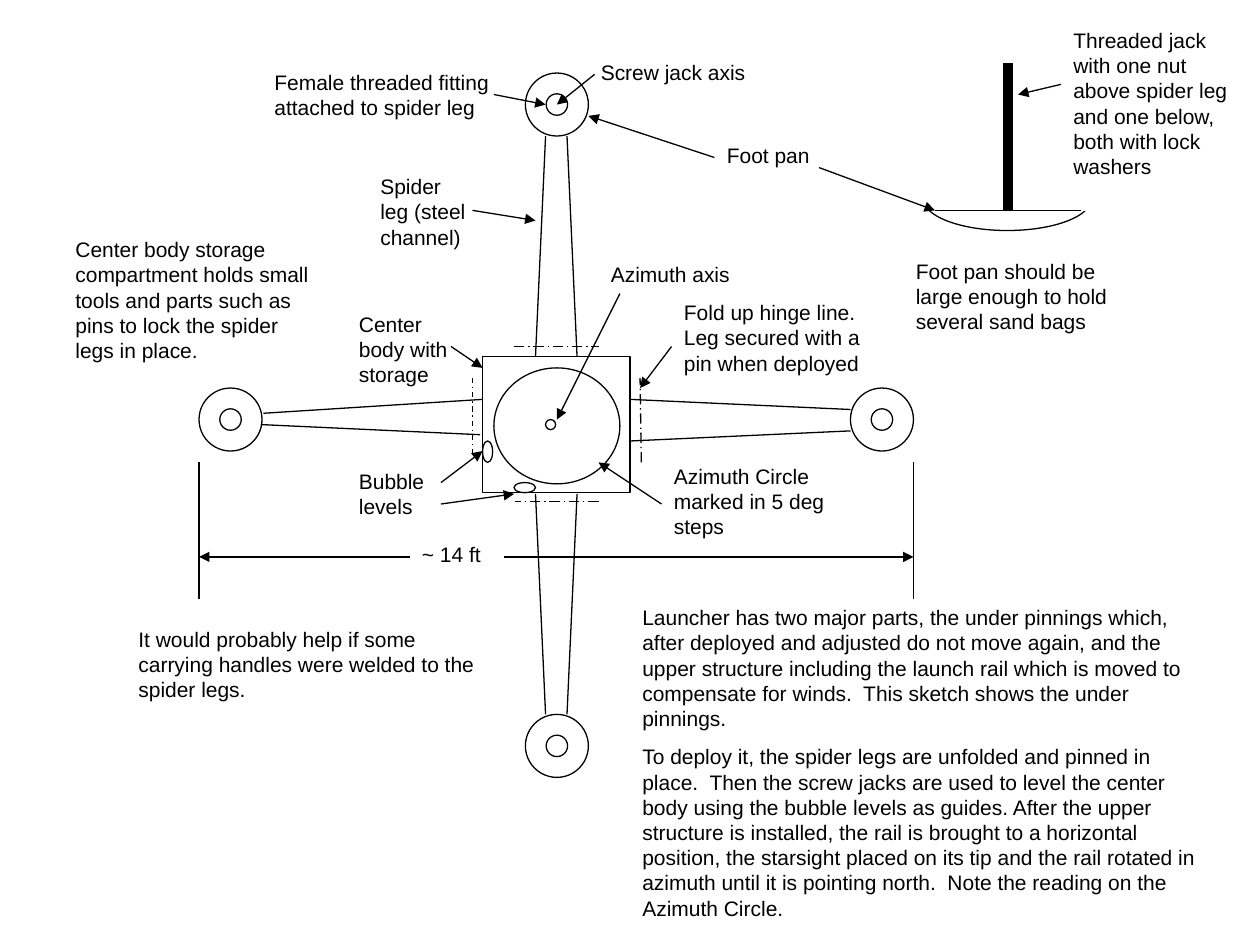
from dataclasses import dataclass
from typing import Optional

from lxml.etree import SubElement
from pptx import Presentation
from pptx.dml.color import RGBColor
from pptx.enum.dml import MSO_LINE
from pptx.enum.shapes import MSO_CONNECTOR, MSO_SHAPE
from pptx.enum.text import MSO_AUTO_SIZE
from pptx.oxml.ns import qn
from pptx.util import Inches, Pt

BLACK = "000000"
WHITE = "FFFFFF"
THIN = 0.75
FOOT_DIAMETER = 0.5
FITTING_DIAMETER = 0.17


@dataclass
class Part:
    left: float
    top: float
    width: float
    height: float
    preset: MSO_SHAPE = MSO_SHAPE.OVAL
    outline: str = BLACK


@dataclass
class Stroke:
    x1: float
    y1: float
    x2: float
    y2: float
    weight: float = THIN
    dash: Optional[MSO_LINE] = None
    arrow: bool = False


@dataclass
class Label:
    left: float
    top: float
    width: float
    height: float
    text: str


def color(hex_value: str) -> RGBColor:
    return RGBColor.from_string(hex_value)


def centered_circle(x: float, y: float, diameter: float) -> Part:
    return Part(x - diameter / 2, y - diameter / 2, diameter, diameter)


def pointer(x1: float, y1: float, x2: float, y2: float) -> Stroke:
    return Stroke(x1, y1, x2, y2, arrow=True)


def hinge(x1: float, y1: float, x2: float, y2: float,
          dash: MSO_LINE = MSO_LINE.LONG_DASH_DOT) -> Stroke:
    return Stroke(x1, y1, x2, y2, dash=dash)


def draw_part(slide, part: Part) -> None:
    shape = slide.shapes.add_shape(
        part.preset, Inches(part.left), Inches(part.top),
        Inches(part.width), Inches(part.height))
    shape.shadow.inherit = False
    shape.fill.solid()
    shape.fill.fore_color.rgb = color(WHITE)
    shape.line.color.rgb = color(part.outline)
    shape.line.width = Pt(THIN)


def draw_stroke(slide, stroke: Stroke) -> None:
    connector = slide.shapes.add_connector(
        MSO_CONNECTOR.STRAIGHT, Inches(stroke.x1), Inches(stroke.y1),
        Inches(stroke.x2), Inches(stroke.y2))
    connector.line.color.rgb = color(BLACK)
    connector.line.width = Pt(stroke.weight)
    if stroke.dash is not None:
        connector.line.dash_style = stroke.dash
    properties = connector._element.spPr
    if stroke.arrow:
        SubElement(properties.find(qn("a:ln")), qn("a:tailEnd"), type="triangle")
    SubElement(properties, qn("a:effectLst"))


def draw_label(slide, label: Label) -> None:
    frame = slide.shapes.add_textbox(
        Inches(label.left), Inches(label.top),
        Inches(label.width), Inches(label.height)).text_frame
    frame.word_wrap = True
    frame.auto_size = MSO_AUTO_SIZE.SHAPE_TO_FIT_TEXT
    frame.text = label.text
    for index, paragraph in enumerate(frame.paragraphs):
        if index:
            paragraph.space_before = Pt(7.5)
        for run in paragraph.runs:
            run.font.name = "Arial"
            run.font.size = Pt(12)
            run.font.color.rgb = color(BLACK)


FOOT_CENTERS = [(4.42, 0.83), (4.42, 5.92), (1.83, 3.33), (7, 3.33)]

CENTER_BODY = [
    Part(3.83, 2.83, 1.17, 1.08, MSO_SHAPE.RECTANGLE),
    Part(3.92, 2.92, 1, 0.92),
    Part(4.33, 3.33, 0.08, 0.08),
    Part(4.08, 3.83, 0.17, 0.08),
    Part(3.83, 3.5, 0.08, 0.17),
]

FOOT_PAN = [
    Part(7.33, 1.33, 1.33, 0.5),
    Part(7.25, 1.25, 1.5, 0.42, MSO_SHAPE.RECTANGLE, WHITE),
]

STROKES = [
    Stroke(4.33, 1.08, 4.25, 2.83),
    Stroke(4.5, 1.08, 4.58, 2.83),
    Stroke(4.25, 3.92, 4.33, 5.67),
    Stroke(4.58, 3.92, 4.5, 5.67),
    Stroke(2.09, 3.28, 3.83, 3.17),
    Stroke(2.07, 3.37, 3.81, 3.45),
    Stroke(6.75, 3.42, 5, 3.5),
    Stroke(6.75, 3.25, 5, 3.17),
    hinge(4.08, 2.75, 4.75, 2.75),
    hinge(4.75, 3.98, 4.09, 3.98),
    hinge(5.09, 3.67, 5.08, 3),
    hinge(3.75, 3, 3.75, 3.67, MSO_LINE.DASH_DOT),
    Stroke(1.58, 3.67, 1.58, 4.75),
    Stroke(7.25, 3.67, 7.25, 4.75),
    pointer(4, 4.42, 7.25, 4.42),
    pointer(3.25, 4.42, 1.58, 4.42),
    pointer(4.83, 4.42, 4.83, 4.42),
    Stroke(7.42, 1.67, 8.58, 1.67),
    Stroke(8, 0.5, 8, 1.67, weight=6),
    pointer(5.33, 2.75, 5.08, 3.08),
    pointer(4.72, 0.59, 4.42, 0.83),
    pointer(4.92, 2.33, 4.42, 3.33),
    pointer(3.75, 1.67, 4.25, 1.75),
    pointer(3.5, 3.83, 3.83, 3.58),
    pointer(3.5, 4, 4.08, 3.92),
    pointer(3.58, 2.75, 3.83, 2.92),
    pointer(5.67, 1.25, 4.67, 0.92),
    pointer(6.5, 1.33, 7.42, 1.67),
    pointer(8.42, 0.67, 8.08, 0.75),
    pointer(3.92, 0.75, 4.33, 0.83),
    pointer(5.25, 4, 4.75, 3.67),
]

LABELS = [
    Label(5.33, 2.33, 1.83, 0.7, "Fold up hinge line.  Leg secured with a pin when deployed"),
    Label(4.67, 0.42, 1.83, 0.3, "Screw jack axis"),
    Label(5.67, 1.08, 0.92, 0.3, "Foot pan"),
    Label(4.75, 2.03, 1.17, 0.3, "Azimuth axis"),
    Label(2.92, 1.33, 0.92, 0.7, "Spider leg (steel channel)"),
    Label(2.75, 3.67, 0.75, 0.5, "Bubble levels"),
    Label(3.25, 4.25, 0.83, 0.3, "~ 14 ft"),
    Label(2.75, 2.42, 0.92, 0.7, "Center body with storage"),
    Label(8.42, 0.17, 1.58, 1.3, "Threaded jack with one nut above spider leg and one below, "
          "both with lock washers"),
    Label(7.17, 2, 1.92, 0.7, "Foot pan should be large enough to hold several sand bags"),
    Label(2.08, 0.5, 2.17, 0.5, "Female threaded fitting attached to spider leg"),
    Label(0.5, 1.83, 2.08, 1.1, "Center body storage compartment holds small tools and parts "
          "such as pins to lock the spider legs in place."),
    Label(5.25, 3.63, 1.67, 0.7, "Azimuth Circle marked in 5 deg steps"),
    Label(5, 4.75, 4.67, 2.61,
          "Launcher has two major parts, the under pinnings which, after deployed and adjusted "
          "do not move again, and the upper structure including the launch rail which is moved "
          "to compensate for winds.  This sketch shows the under pinnings.\n"
          "To deploy it, the spider legs are unfolded and pinned in place.  Then the screw jacks "
          "are used to level the center body using the bubble levels as guides. After the upper "
          "structure is installed, the rail is brought to a horizontal position, the starsight "
          "placed on its tip and the rail rotated in azimuth until it is pointing north.  Note "
          "the reading on the Azimuth Circle."),
    Label(1, 4.92, 2.92, 0.7, "It would probably help if some carrying handles were welded "
          "to the spider legs."),
]


def main() -> None:
    presentation = Presentation()
    presentation.slide_width = Inches(10)
    presentation.slide_height = Inches(7.5)
    slide = presentation.slides.add_slide(presentation.slide_layouts[6])
    feet = [centered_circle(x, y, diameter) for x, y in FOOT_CENTERS
            for diameter in (FOOT_DIAMETER, FITTING_DIAMETER)]
    for part in CENTER_BODY + feet + FOOT_PAN:
        draw_part(slide, part)
    for stroke in STROKES:
        draw_stroke(slide, stroke)
    for label in LABELS:
        draw_label(slide, label)
    presentation.save("out.pptx")


if __name__ == "__main__":
    main()
